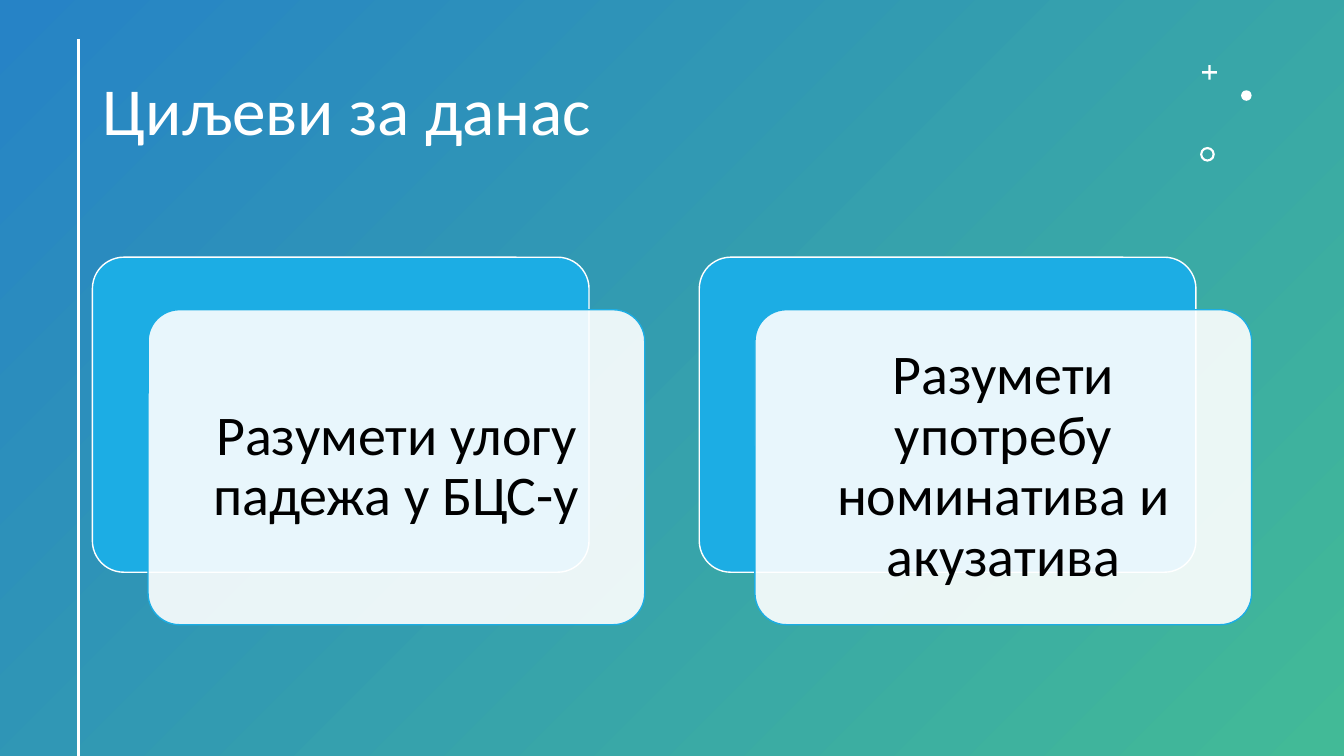
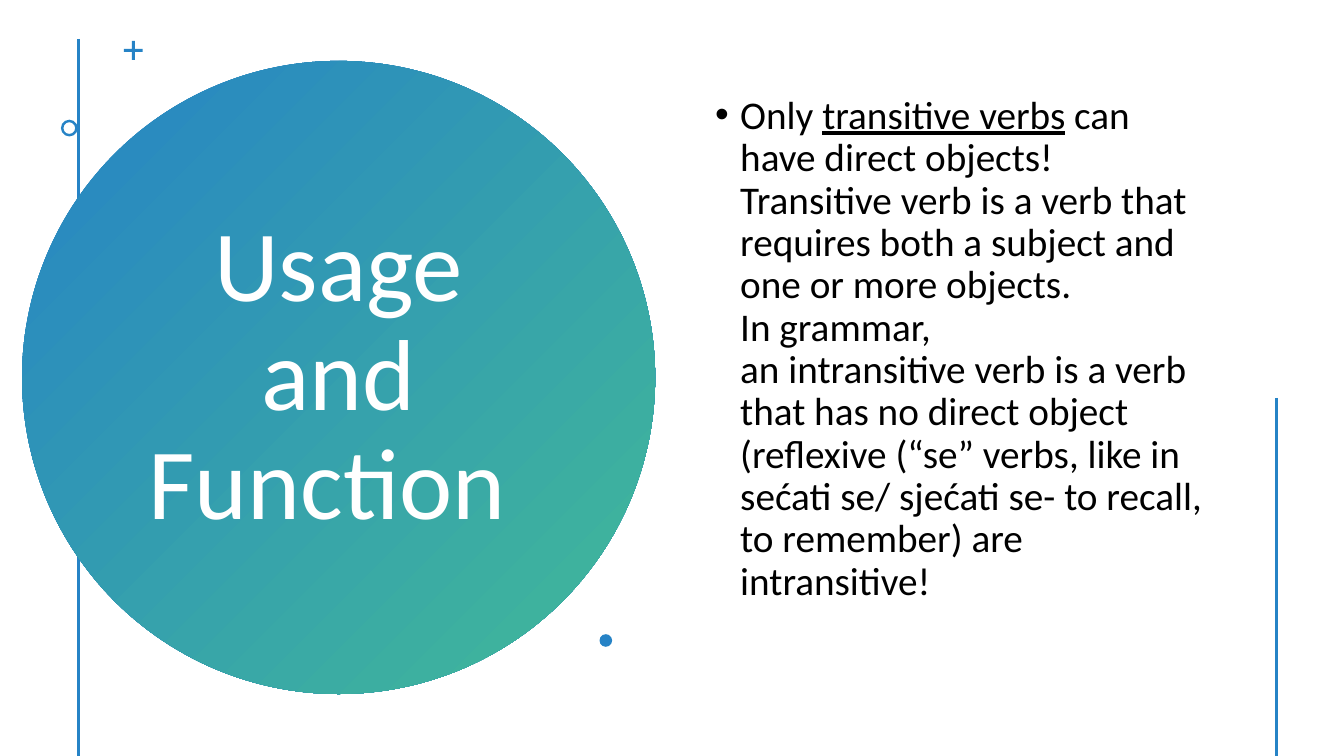
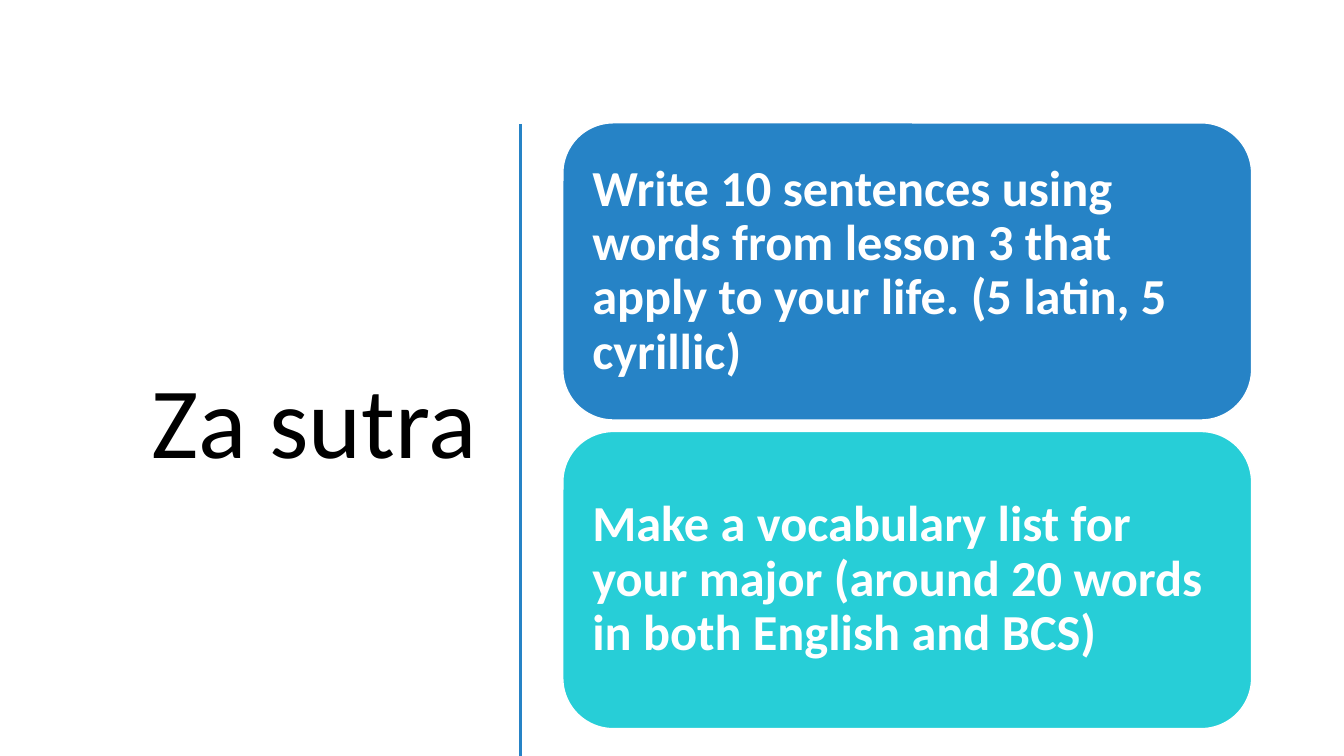
from dataclasses import dataclass
from typing import Any

import lxml.etree
import pptx
import pptx.dml.color
import pptx.enum.shapes
import pptx.enum.text
import pptx.oxml.ns
import pptx.util

# Shared look
PX = 9525  # EMU per px, 96 px to the inch
WIDTH, HEIGHT = 1280, 720
FONT = "Calibri"
HARD_SPACE = chr(160)  # keeps two words on one line
COLOURS = {
    "blue": "2683C6",
    "green": "42BA97",
    "sky": "1CADE4",
    "turquoise": "27CED7",
    "white": "FFFFFF",
    "black": "000000",
}
SHAPE = pptx.enum.shapes.MSO_SHAPE
ALIGN = pptx.enum.text.PP_ALIGN
qualified = pptx.oxml.ns.qn


@dataclass(frozen=True)
class Box:
    left: int
    top: int
    width: int
    height: int

    def emu(self) -> tuple[int, int, int, int]:
        return self.left * PX, self.top * PX, self.width * PX, self.height * PX

    def shifted(self, right: int, down: int) -> "Box":
        return Box(self.left + right, self.top + down, self.width, self.height)


@dataclass(frozen=True)
class Run:
    text: str
    underline: bool = False


@dataclass(frozen=True)
class TextStyle:
    size: int
    colour: str
    align: Any = ALIGN.LEFT
    bold: bool = False
    bullet: bool = False
    inset_x: int = 10
    inset_y: int = 5


@dataclass(frozen=True)
class Ornament:
    kind: str  # plus, dot or ring
    left: int
    top: int
    size: int


def rgb(name: str) -> pptx.dml.color.RGBColor:
    return pptx.dml.color.RGBColor.from_string(COLOURS[name])


def joined(*words: str) -> str:
    return HARD_SPACE.join(words)


# Drawing functions
def add_preset(slide: Any, preset: Any, box: Box, fill: str | None = None,
               line: str | None = None) -> Any:
    """Add a preset shape; without a fill name it gets the blue-green gradient."""
    shape = slide.shapes.add_shape(preset, *box.emu())
    shape.shadow.inherit = False
    if fill:
        shape.fill.solid()
        shape.fill.fore_color.rgb = rgb(fill)
    else:
        shape.fill.gradient()
        shape.fill.gradient_angle = 315
        for stop, name in zip(shape.fill.gradient_stops, ("blue", "green")):
            stop.color.rgb = rgb(name)
    if line:
        shape.line.color.rgb = rgb(line)
        shape.line.width = pptx.util.Pt(1)
    else:
        shape.line.fill.background()
    return shape


def add_card(slide: Any, box: Box, fill: str, line: str, corner: float) -> Any:
    card = add_preset(slide, SHAPE.ROUNDED_RECTANGLE, box, fill, line)
    card.adjustments[0] = corner
    return card


def set_opacity(shape: Any, percent: int) -> None:
    colour = shape.fill._xPr.find(".//" + qualified("a:srgbClr"))
    lxml.etree.SubElement(colour, qualified("a:alpha"), val=str(percent * 1000))


def write_text(shape: Any, runs: list[Run], style: TextStyle) -> None:
    frame = shape.text_frame
    frame.word_wrap = True
    frame.vertical_anchor = pptx.enum.text.MSO_ANCHOR.MIDDLE
    frame.margin_left = frame.margin_right = style.inset_x * PX
    frame.margin_top = frame.margin_bottom = style.inset_y * PX
    paragraph = frame.paragraphs[0]
    if style.bullet:
        properties = paragraph._p.get_or_add_pPr()
        properties.set("marL", str(24 * PX))
        properties.set("indent", str(-24 * PX))
        lxml.etree.SubElement(properties, qualified("a:buFont"), typeface="Arial")
        lxml.etree.SubElement(properties, qualified("a:buChar"), char="•")
    paragraph.alignment = style.align
    paragraph.line_spacing = 0.9
    for item in runs:
        run = paragraph.add_run()
        run.text = item.text
        run.font.name = FONT
        run.font.size = pptx.util.Pt(style.size)
        run.font.bold = style.bold
        run.font.underline = item.underline
        run.font.color.rgb = rgb(style.colour)


def add_text(slide: Any, box: Box, runs: list[Run], style: TextStyle) -> None:
    write_text(slide.shapes.add_textbox(*box.emu()), runs, style)


def add_rule(slide: Any, x: int, top: int, colour: str) -> None:
    """Add a vertical line that runs down to the foot of the slide."""
    rule = slide.shapes.add_connector(
        pptx.enum.shapes.MSO_CONNECTOR.STRAIGHT,
        x * PX, top * PX, x * PX, HEIGHT * PX)
    rule.line.color.rgb = rgb(colour)
    rule.line.width = pptx.util.Pt(2)
    lxml.etree.SubElement(rule._element.spPr, qualified("a:effectLst"))


def add_plus(slide: Any, ornament: Ornament, colour: str) -> None:
    size = ornament.size
    near, far = size * 0.42, size * 0.58
    points = [(near, 0), (far, 0), (far, near), (size, near), (size, far), (far, far),
              (far, size), (near, size), (near, far), (0, far), (0, near), (near, near)]
    corners = [(round((ornament.left + x) * PX), round((ornament.top + y) * PX))
               for x, y in points]
    builder = slide.shapes.build_freeform(*corners[0])
    builder.add_line_segments(corners[1:], close=True)
    plus = builder.convert_to_shape()
    plus.shadow.inherit = False
    plus.fill.solid()
    plus.fill.fore_color.rgb = rgb(colour)
    plus.line.fill.background()


def add_ornaments(slide: Any, ornaments: list[Ornament], colour: str) -> None:
    for ornament in ornaments:
        box = Box(ornament.left, ornament.top, ornament.size, ornament.size)
        if ornament.kind == "plus":
            add_plus(slide, ornament, colour)
        elif ornament.kind == "dot":
            add_preset(slide, SHAPE.OVAL, box, colour)
        else:
            ring = add_preset(slide, SHAPE.DONUT, box, colour)
            ring.adjustments[0] = 0.15


# Slides
def build_goals(slide: Any) -> None:
    add_preset(slide, SHAPE.RECTANGLE, Box(0, 0, WIDTH, HEIGHT))
    add_text(slide, Box(88, 38, 1029, 140), [Run("Циљеви за данас")],
             TextStyle(48, "white"))
    add_rule(slide, 75, 37, "white")
    add_ornaments(slide, [Ornament("plus", 1145, 62, 14), Ornament("dot", 1182, 86, 10),
                          Ornament("ring", 1143, 140, 14)], "white")
    # Each goal is a white card laid over a blue one
    style = TextStyle(40, "black", ALIGN.CENTER, inset_x=16, inset_y=16)
    goals = ["Разумети улогу падежа у БЦС-у",
             "Разумети употребу номинатива и акузатива"]
    for index, goal in enumerate(goals):
        back = Box(88, 245, 473, 300).shifted(index * 578, 0)
        add_card(slide, back, "sky", "white", 0.1)
        front = add_card(slide, back.shifted(53, 50), "white", "sky", 0.1)
        set_opacity(front, 90)
        write_text(front, [Run(goal)], style)


def build_usage(slide: Any) -> None:
    add_rule(slide, 75, 37, "blue")
    add_preset(slide, SHAPE.OVAL, Box(21, 58, 603, 603))
    add_text(slide, Box(131, 135, 383, 449), [Run("Usage and Function ")],
             TextStyle(72, "white", ALIGN.CENTER))
    add_ornaments(slide, [Ornament("plus", 118, 39, 18), Ornament("ring", 58, 114, 16),
                          Ornament("dot", 571, 604, 12)], "blue")
    explanation = [
        Run("Only "),
        Run("transitive verbs", underline=True),
        Run(" can have direct objects! Transitive "
            + joined("verb", "is a", "verb", "that requires both a", "subject", "and ")
            + "one or more" + joined("", "objects. In", "grammar, an", "intransitive",
                                     "verb", "is a verb that has no direct object ")
            + "(reflexive (“se” verbs, like in sećati se/ sjećati se- to recall, "
              "to remember) are intransitive!"),
    ]
    add_text(slide, Box(671, 47, 492, 572), explanation,
             TextStyle(28, "black", bullet=True))
    add_rule(slide, 1216, 379, "blue")


def build_homework(slide: Any) -> None:
    add_text(slide, Box(50, 112, 414, 587), [Run("Za sutra")],
             TextStyle(72, "black", ALIGN.RIGHT))
    add_rule(slide, 496, 118, "blue")
    style = TextStyle(36, "white", bold=True, inset_x=14, inset_y=14)
    tasks = [
        ("blue", "Write 10 sentences using words from lesson 3 that apply to your life. "
                 "(5 latin, 5 cyrillic)"),
        ("turquoise", "Make a vocabulary list for your major "
                      "(around 20 words in both English and BCS)"),
    ]
    for index, (fill, task) in enumerate(tasks):
        box = Box(536, 117, 656, 283).shifted(0, index * 294)
        write_text(add_card(slide, box, fill, "white", 0.17), [Run(task)], style)


def main() -> None:
    presentation = pptx.Presentation()
    presentation.slide_width = WIDTH * PX
    presentation.slide_height = HEIGHT * PX
    blank = presentation.slide_layouts[6]
    for build in (build_goals, build_usage, build_homework):
        build(presentation.slides.add_slide(blank))
    presentation.save("out.pptx")


if __name__ == "__main__":
    main()
